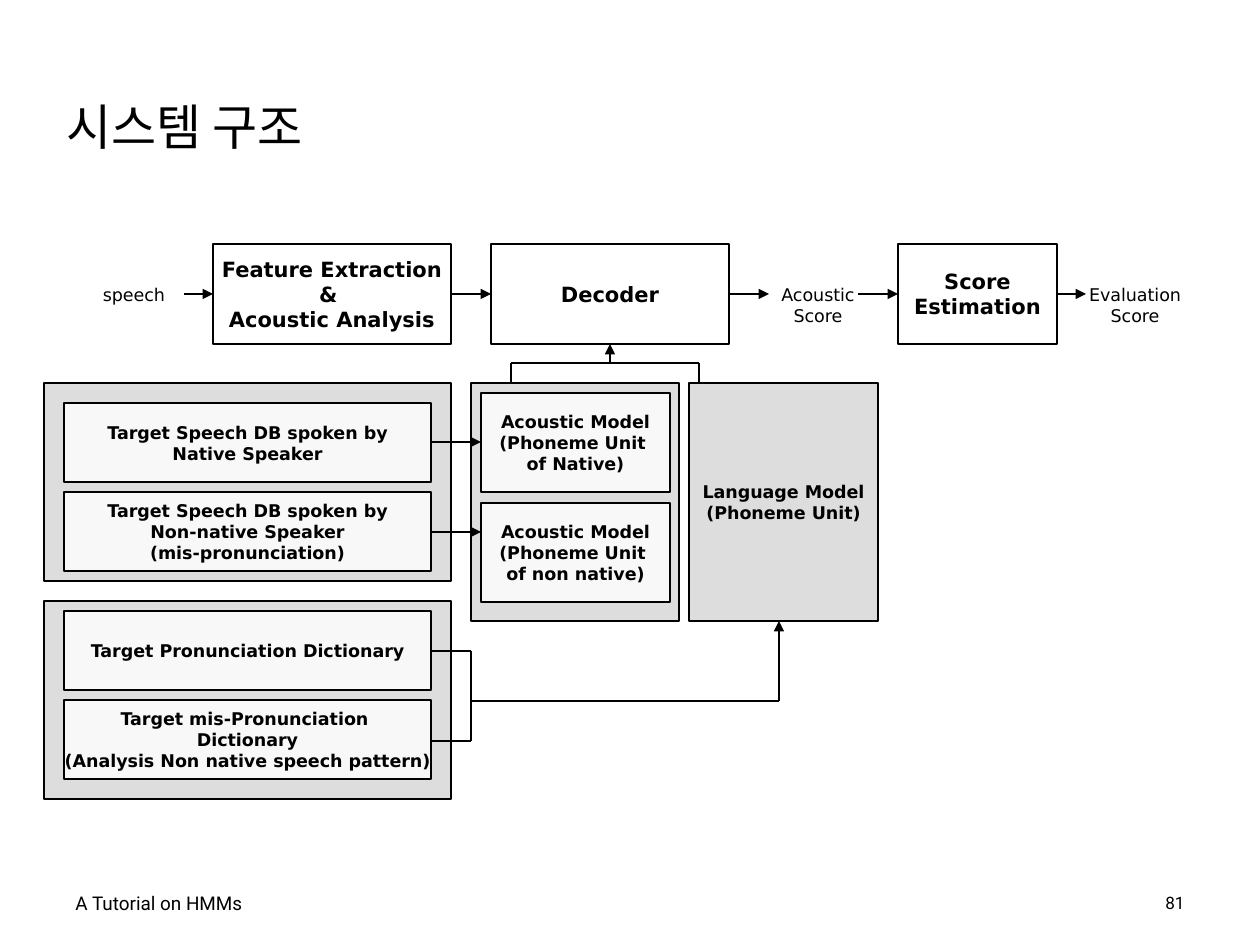
from lxml import etree
from pptx import Presentation
from pptx import util as u
from pptx.dml.color import RGBColor
from pptx.enum import shapes, text
from pptx.oxml.ns import qn

SCALE = u.Inches(1) / 126
HUES = {"ink": "000000", "panel": "DDDDDD", "cell": "F8F8F8"}
ALIGN = text.PP_ALIGN
LABEL = {"size": 10, "name": "DejaVu Sans", "bold": False}
BOLD = {**LABEL, "bold": True}
HEAD = {**BOLD, "size": 12}
TITLE = {"size": 28, "name": "Montserrat", "bold": False}
FOOT = {"size": 10.8, "name": "Roboto", "bold": False}
PAGE = {**FOOT, "size": 9.8}


def px(*nums):
    return [u.Emu(round(n * SCALE)) for n in nums]


def hue(name):
    return RGBColor.from_string(HUES[name])


def put(item, vals):
    for key, val in vals.items():
        setattr(item, key, val)


def write(shape, lines, font, align=ALIGN.CENTER, space=None,
          anchor=text.MSO_ANCHOR.MIDDLE, wrap=False):
    frame = shape.text_frame
    put(frame, {"word_wrap": wrap, "vertical_anchor": anchor})
    frame.text = "\n".join(lines)
    for para in frame.paragraphs:
        put(para, {"alignment": align, "line_spacing": space})
        for run in para.runs:
            put(run.font, {**font, "size": u.Pt(font["size"])})
            run.font.color.rgb = hue("ink")


def label(slide, box, lines, font=LABEL, **form):
    write(slide.shapes.add_textbox(*px(*box)), lines, font, **form)


def block(slide, box, fill=None, lines=(), font=BOLD):
    rect = slide.shapes.add_shape(shapes.MSO_SHAPE.RECTANGLE, *px(*box))
    rect.shadow.inherit = False
    if fill:
        rect.fill.solid()
        rect.fill.fore_color.rgb = hue(fill)
    else:
        rect.fill.background()
    rect.line.color.rgb = hue("ink")
    rect.line.width = u.Pt(0.75)
    if lines:
        write(rect, lines, font)


def link(slide, start, end, arrow=False):
    line = slide.shapes.add_connector(
        shapes.MSO_CONNECTOR.STRAIGHT, *px(*start, *end))
    line.line.color.rgb = hue("ink")
    line.line.width = u.Pt(0.75)
    if arrow:
        etree.SubElement(line.line._get_or_add_ln(), qn("a:tailEnd"), type="triangle")
    etree.SubElement(line._element.spPr, qn("a:effectLst"))


def stack(slide, box, inset, size, step, cells):
    left, top, _, _ = box
    block(slide, box, "panel")
    for row, lines in enumerate(cells):
        spot = (left + inset[0], top + inset[1] + row * step, *size)
        block(slide, spot, "cell", lines)


def flow(slide, left, top):
    steps = [
        (129, 238, ["Feature Extraction", "& ", "Acoustic Analysis"]),
        (407, 238, ["Decoder"]),
        (814, 159, ["Score", "Estimation"]),
    ]
    notes = [
        (0, 21, 100, ["speech"]),
        (675, 31, 118, ["Acoustic", "Score"]),
        (992, 31, 118, ["Evaluation", "Score"]),
    ]
    for x, wide, lines in steps:
        block(slide, (left + x, top, wide, 100), None, lines, HEAD)
    for x, y, wide, lines in notes:
        label(slide, (left + x, top + y, wide, 59), lines)
    for x, end in [(100, 129), (367, 407), (646, 685), (774, 814), (973, 1002)]:
        link(slide, (left + x, top + 50), (left + end, top + 50), True)


def models(slide, left, top):
    stack(slide, (left, top, 208, 238), (10, 10), (189, 99), 110, [
        ["Acoustic Model", "(Phoneme Unit ", "of Native)"],
        ["Acoustic Model", "(Phoneme Unit ", "of non native)"],
    ])
    block(slide, (left + 218, top, 189, 238), "panel",
          ["Language Model", "(Phoneme Unit)"])
    bar = top - 20
    link(slide, (left + 40, bar), (left + 228, bar))
    for x in (40, 228):
        link(slide, (left + x, bar), (left + x, top))
    link(slide, (left + 139, bar), (left + 139, bar - 19), True)


def speech(slide, left, top):
    stack(slide, (left, top, 407, 198), (20, 20), (367, 79), 89, [
        ["Target Speech DB spoken by", "Native Speaker"],
        ["Target Speech DB spoken by", "Non-native Speaker", "(mis-pronunciation)"],
    ])
    for y in (59, 149):
        link(slide, (left + 388, top + y), (left + 437, top + y), True)


def words(slide, left, top):
    stack(slide, (left, top, 407, 198), (20, 10), (367, 79), 89, [
        ["Target Pronunciation Dictionary"],
        ["Target mis-Pronunciation ", "Dictionary",
         "(Analysis Non native speech pattern)"],
    ])
    trunk, goal, mid = left + 427, left + 735, top + 100
    for y in (50, 140):
        link(slide, (left + 388, top + y), (trunk, top + y))
    link(slide, (trunk, top + 50), (trunk, top + 140))
    link(slide, (trunk, mid), (goal, mid))
    link(slide, (goal, mid), (goal, top + 20), True)


def frame(slide):
    label(slide, (54, 76, 1134, 100), ["시스템 구조"], TITLE,
          align=ALIGN.LEFT, wrap=True)
    for x, line, font, align in [
        (63, "A Tutorial on HMMs", FOOT, ALIGN.LEFT),
        (903, "81", PAGE, ALIGN.RIGHT),
    ]:
        label(slide, (x, 890, 294, 37), [line], font, align=align, space=0.8,
              anchor=text.MSO_ANCHOR.TOP, wrap=True)


def main():
    deck = Presentation()
    put(deck, {"slide_width": u.Inches(10), "slide_height": u.Inches(7.5)})
    slide = deck.slides.add_slide(deck.slide_layouts[6])
    frame(slide)
    flow(slide, 84, 244)
    models(slide, 471, 383)
    speech(slide, 44, 383)
    words(slide, 44, 601)
    deck.save("out.pptx")


if __name__ == "__main__":
    main()
